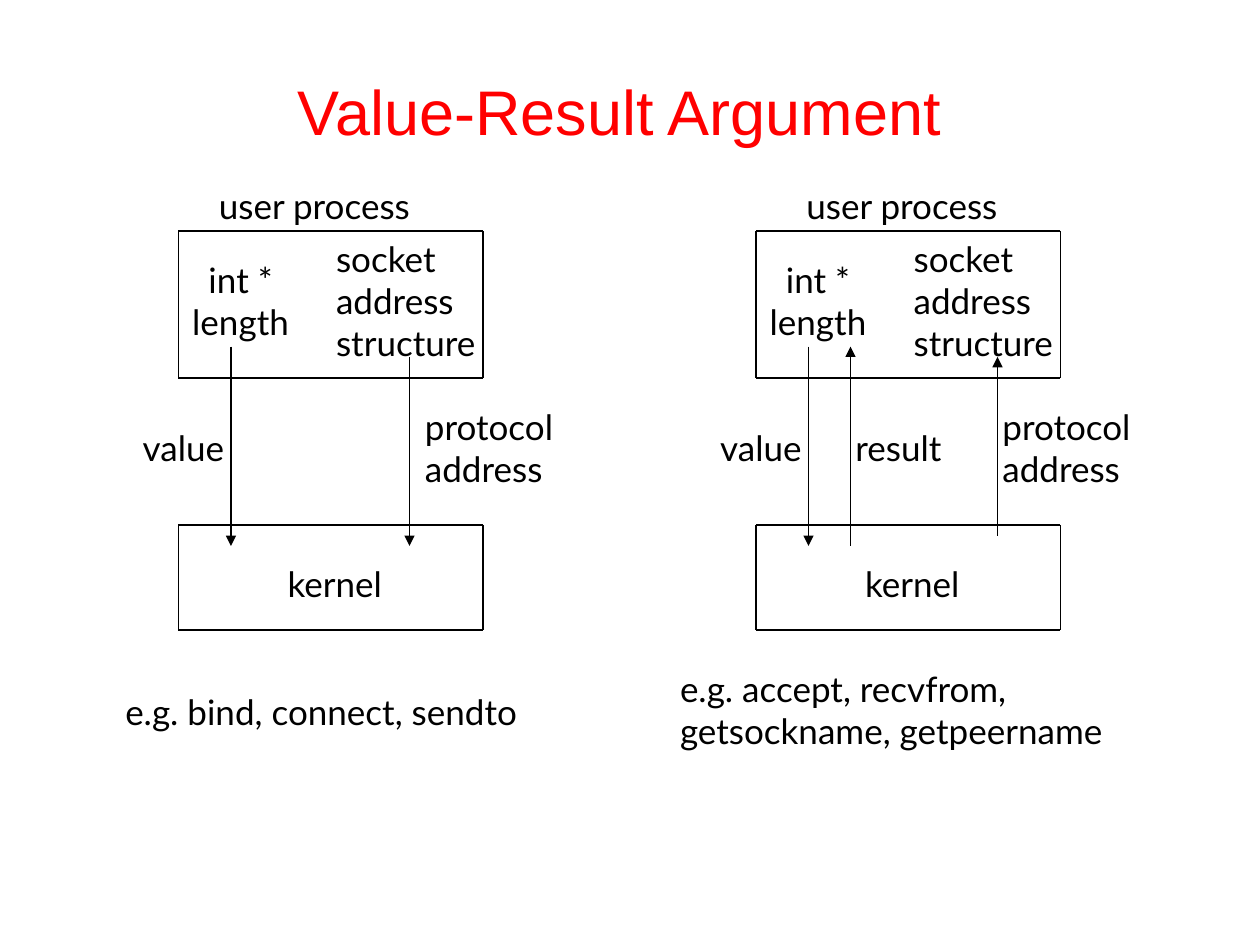
from lxml.etree import SubElement
from pptx import Presentation
from pptx.dml.color import RGBColor
from pptx.enum.shapes import MSO_CONNECTOR
from pptx.enum.text import MSO_ANCHOR, PP_ALIGN
from pptx.oxml.ns import qn
from pptx.util import Pt

COLORS = {"title": "FF0000", "ink": "000000"}
PANEL_STEP = 330
LINE_WIDTH = 0.75


def color(name):
    return RGBColor.from_string(COLORS[name])


def add_text(slide, left, top, width, height, lines, size=20, font="Lato",
             ink="ink", align=PP_ALIGN.LEFT, anchor=MSO_ANCHOR.TOP):
    label = slide.shapes.add_textbox(Pt(left), Pt(top), Pt(width), Pt(height))
    frame = label.text_frame
    frame.word_wrap = True
    frame.vertical_anchor = anchor
    for index, line in enumerate(lines):
        paragraph = frame.add_paragraph() if index else frame.paragraphs[0]
        paragraph.alignment = align
        run = paragraph.add_run()
        run.text = line
        run.font.size = Pt(size)
        run.font.name = font
        run.font.color.rgb = color(ink)


def add_line(slide, x1, y1, x2, y2):
    line = slide.shapes.add_connector(
        MSO_CONNECTOR.STRAIGHT, Pt(x1), Pt(y1), Pt(x2), Pt(y2))
    line.line.color.rgb = color("ink")
    line.line.width = Pt(LINE_WIDTH)
    SubElement(line._element.spPr, qn("a:effectLst"))
    return line


def add_frame(slide, left, top, width, height):
    """Draw a box as four separate border lines."""
    right, bottom = left + width, top + height
    for x in (left, right):
        add_line(slide, x, top, x, bottom)
    for y in (top, bottom):
        add_line(slide, left, y, right, y)


def add_arrow(slide, x, start, end):
    """Draw a vertical arrow whose head is at end."""
    arrow = add_line(slide, x, start, x, end)
    SubElement(arrow.line._get_or_add_ln(), qn("a:tailEnd"), type="triangle")


def add_panel(slide, left):
    """Draw the parts that both calling directions share."""
    add_frame(slide, left + 102, 132, 174, 84)
    add_frame(slide, left + 102, 300, 174, 60)
    add_text(slide, left + 99, 144, 77, 55, ["int *", "length"],
             align=PP_ALIGN.CENTER)
    add_text(slide, left + 185, 132, 102, 79,
             ["socket", "address", "structure"])
    add_text(slide, left + 235.75, 228, 94, 55, ["protocol", "address"])
    add_text(slide, left + 157.25, 318, 76, 32, ["kernel"])
    add_text(slide, left + 74.5, 240, 67, 32, ["value"])
    add_arrow(slide, left + 132, 198, 312)


def main():
    deck = Presentation()
    deck.slide_width, deck.slide_height = Pt(720), Pt(540)
    slide = deck.slides.add_slide(deck.slide_layouts[6])

    add_text(slide, 48, 18, 612, 90, ["Value-Result Argument"], 36, "Arial",
             "title", PP_ALIGN.CENTER, MSO_ANCHOR.MIDDLE)
    for left in (0, PANEL_STEP):
        add_panel(slide, left)

    # Process to kernel
    add_text(slide, 118, 102, 133, 32, ["user process"])
    add_arrow(slide, 234, 204, 312)
    add_text(slide, 64.5, 391, 267, 32, ["e.g. bind, connect, sendto"])

    # Kernel to process
    add_text(slide, 453.75, 102, 133, 32, ["user process"])
    add_arrow(slide, 486, 312, 198)
    add_arrow(slide, 570, 306, 204)
    add_text(slide, 481.75, 240, 69, 32, ["result"])
    add_text(slide, 381.5, 378, 284, 55,
             ["e.g. accept, recvfrom,", "getsockname, getpeername"])

    deck.save("out.pptx")


if __name__ == "__main__":
    main()
